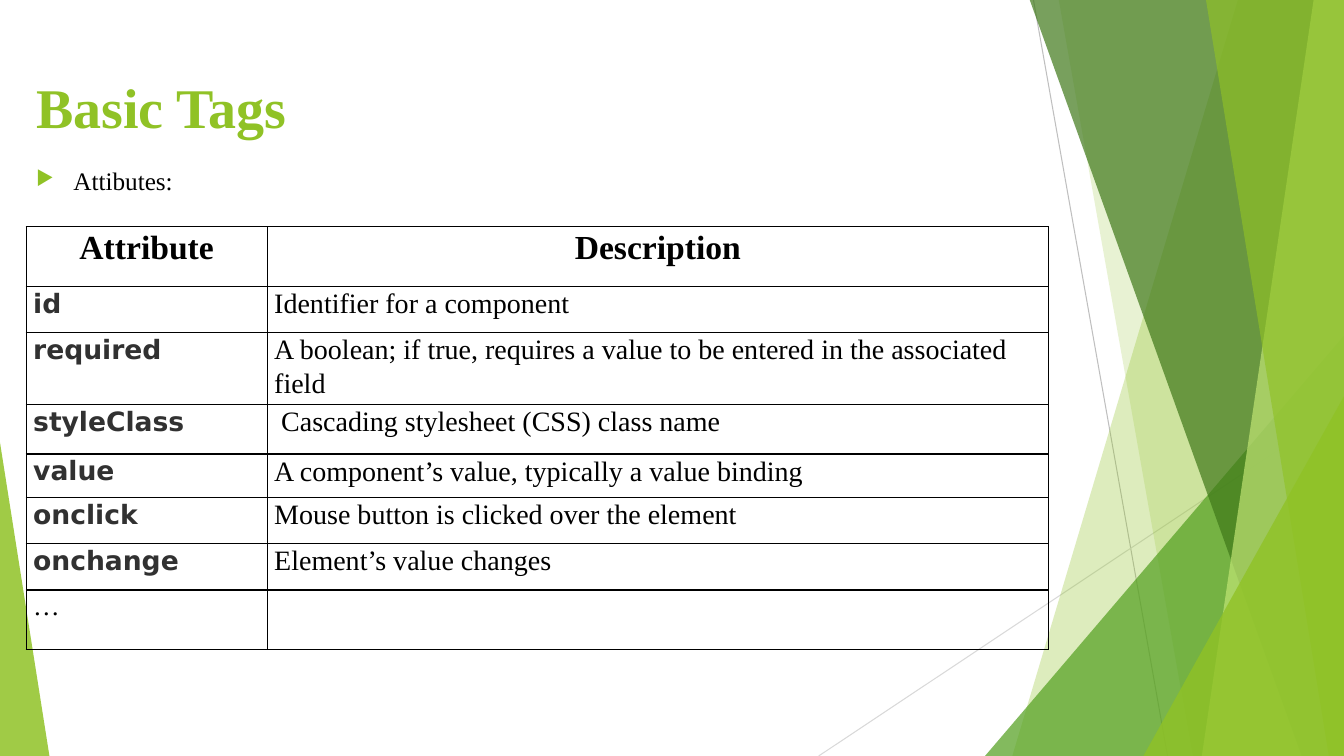
from lxml import etree
from pptx import Presentation
from pptx.dml.color import RGBColor
from pptx.enum.shapes import MSO_CONNECTOR, MSO_SHAPE
from pptx.enum.text import MSO_ANCHOR, PP_ALIGN
from pptx.oxml.ns import qn
from pptx.util import Inches, Pt

STRAIGHT = MSO_CONNECTOR.STRAIGHT
TRIANGLE = MSO_SHAPE.ISOSCELES_TRIANGLE
TOP = MSO_ANCHOR.TOP
LEFT, CENTER = PP_ALIGN.LEFT, PP_ALIGN.CENTER
SERIF, SANS = "Times New Roman", "DejaVu Sans"
LIME, BLACK, CHARCOAL = "90C226", "000000", "313131"
WIDTH, HEIGHT = 13.33, 7.5

RAYS = [((10.25, 0), (11.58, HEIGHT), "BFBFBF"),
        ((WIDTH, 4.03), (8.12, HEIGHT), "D9D9D9")]
BACK_BANDS = [(12.28, 10.04, LIME, 30), (10.5, 11.83, LIME, 20)]
FRONT_BANDS = [(10.21, 12.91, "3F7819", 70), (13.03, 11.92, "C0E474", 70),
               (11.96, 13.18, LIME, 65)]
COLUMN_WIDTHS = [2.39, 7.75]
ROW_HEIGHTS = [0.59, 0.46, 0.71, 0.49, 0.43, 0.46, 0.46, 0.59]
ATTRIBUTES = [
    ("id", "Identifier for a component"),
    ("required", "A boolean; if true, requires a value to be entered in the associated field"),
    ("styleClass", " Cascading stylesheet (CSS) class name"),
    ("value", "A component’s value, typically a value binding"),
    ("onclick", "Mouse button is clicked over the element"),
    ("onchange", "Element’s value changes"),
]


def rgb(value):
    return RGBColor.from_string(value)


def add_element(parent, tag, **attributes):
    return etree.SubElement(parent, qn(tag), attributes)


def fill_translucent(shape, color, opacity):
    shape.shadow.inherit = False
    shape.line.fill.background()
    shape.fill.solid()
    shape.fill.fore_color.rgb = rgb(color)
    tint = shape.fill._xPr.find(qn("a:solidFill"))[0]
    add_element(tint, "a:alpha", val=str(opacity * 1000))


def add_ray(slide, start, end, color):
    ray = slide.shapes.add_connector(STRAIGHT, *map(Inches, start + end))
    ray.line.color.rgb = rgb(color)
    ray.line.width = Pt(0.75)
    add_element(ray._element.spPr, "a:effectLst")


def add_band(slide, top_x, bottom_x, color, opacity):
    outline = slide.shapes.build_freeform(Inches(top_x), Inches(-0.01))
    corners = [(WIDTH, -0.01), (WIDTH, HEIGHT), (bottom_x, HEIGHT)]
    outline.add_line_segments([(Inches(x), Inches(y)) for x, y in corners])
    fill_translucent(outline.convert_to_shape(), color, opacity)


def add_triangle(slide, left, top, width, apex, color, opacity):
    triangle = slide.shapes.add_shape(TRIANGLE, Inches(left), Inches(top),
                                      Inches(width), Inches(HEIGHT - top))
    triangle.adjustments[0] = apex
    fill_translucent(triangle, color, opacity)


def add_run(paragraph, text, size, color, font=SERIF, bold=False):
    run = paragraph.add_run()
    run.text = text
    run.font.size = Pt(size)
    run.font.name = font
    run.font.bold = bold
    run.font.color.rgb = rgb(color)


def draw_backdrop(slide):
    for ray in RAYS:
        add_ray(slide, *ray)
    for band in BACK_BANDS:
        add_band(slide, *band)
    add_triangle(slide, 9.77, 3.33, 3.56, 1, "54A021", 72)
    for band in FRONT_BANDS:
        add_band(slide, *band)
    add_triangle(slide, 11.34, 3.93, 1.99, 1, LIME, 80)
    add_triangle(slide, 0, 4.39, 0.49, 0, LIME, 85)


def set_title(slide, text):
    title = slide.shapes.title
    title.left, title.top = Inches(0.26), Inches(0.67)
    title.width, title.height = Inches(9.4), Inches(1.44)
    title.text_frame.vertical_anchor = TOP
    heading = title.text_frame.paragraphs[0]
    heading.alignment = LEFT
    add_run(heading, text, 40, LIME, bold=True)


def add_bullet(slide, text):
    body = slide.shapes.add_textbox(Inches(0.26), Inches(1.59), Inches(10.15), Inches(0.5))
    body.text_frame.word_wrap = True
    item = body.text_frame.paragraphs[0]
    layout = item._p.get_or_add_pPr()
    layout.set("marL", str(Inches(0.37)))
    layout.set("indent", str(Inches(-0.37)))
    add_element(add_element(layout, "a:buClr"), "a:srgbClr", val=LIME)
    add_element(layout, "a:buSzPct", val="80000")
    add_element(layout, "a:buChar", char="▶")
    add_run(item, text, 18, BLACK)


def add_borders(cell):
    properties = cell._tc.get_or_add_tcPr()
    for side in ("a:lnL", "a:lnR", "a:lnT", "a:lnB"):
        border = add_element(properties, side, w=str(Pt(1)))
        add_element(add_element(border, "a:solidFill"), "a:srgbClr", val=BLACK)


def write_cell(cell, text, size, color=BLACK, font=SERIF, bold=False, align=LEFT):
    cell.margin_left = cell.margin_right = Inches(0.07)
    cell.margin_top = cell.margin_bottom = 0
    add_borders(cell)
    cell.fill.background()
    paragraph = cell.text_frame.paragraphs[0]
    paragraph.alignment = align
    paragraph.line_spacing = 1.07
    if text:
        add_run(paragraph, text, size, color, font, bold)


def add_attribute_table(slide):
    frame = slide.shapes.add_table(len(ROW_HEIGHTS), len(COLUMN_WIDTHS), Inches(0.26), Inches(2.25),
                                   Inches(sum(COLUMN_WIDTHS)), Inches(sum(ROW_HEIGHTS)))
    table = frame.table
    table.first_row = table.horz_banding = False
    for column, width in zip(table.columns, COLUMN_WIDTHS):
        column.width = Inches(width)
    for row, height in zip(table.rows, ROW_HEIGHTS):
        row.height = Inches(height)
    for column, heading in enumerate(("Attribute", "Description")):
        write_cell(table.cell(0, column), heading, 24, bold=True, align=CENTER)
    for row, (attribute, description) in enumerate(ATTRIBUTES, 1):
        write_cell(table.cell(row, 0), attribute, 19, CHARCOAL, SANS, True)
        write_cell(table.cell(row, 1), description, 20)
    last = len(ROW_HEIGHTS) - 1
    write_cell(table.cell(last, 0), "…", 19)
    write_cell(table.cell(last, 1), "", 19)


def main():
    deck = Presentation()
    deck.slide_width, deck.slide_height = Inches(WIDTH), Inches(HEIGHT)
    slide = deck.slides.add_slide(deck.slide_layouts.get_by_name("Title Only"))
    draw_backdrop(slide)
    set_title(slide, "Basic Tags")
    add_bullet(slide, "Attibutes:")
    add_attribute_table(slide)
    deck.save("out.pptx")


if __name__ == "__main__":
    main()
